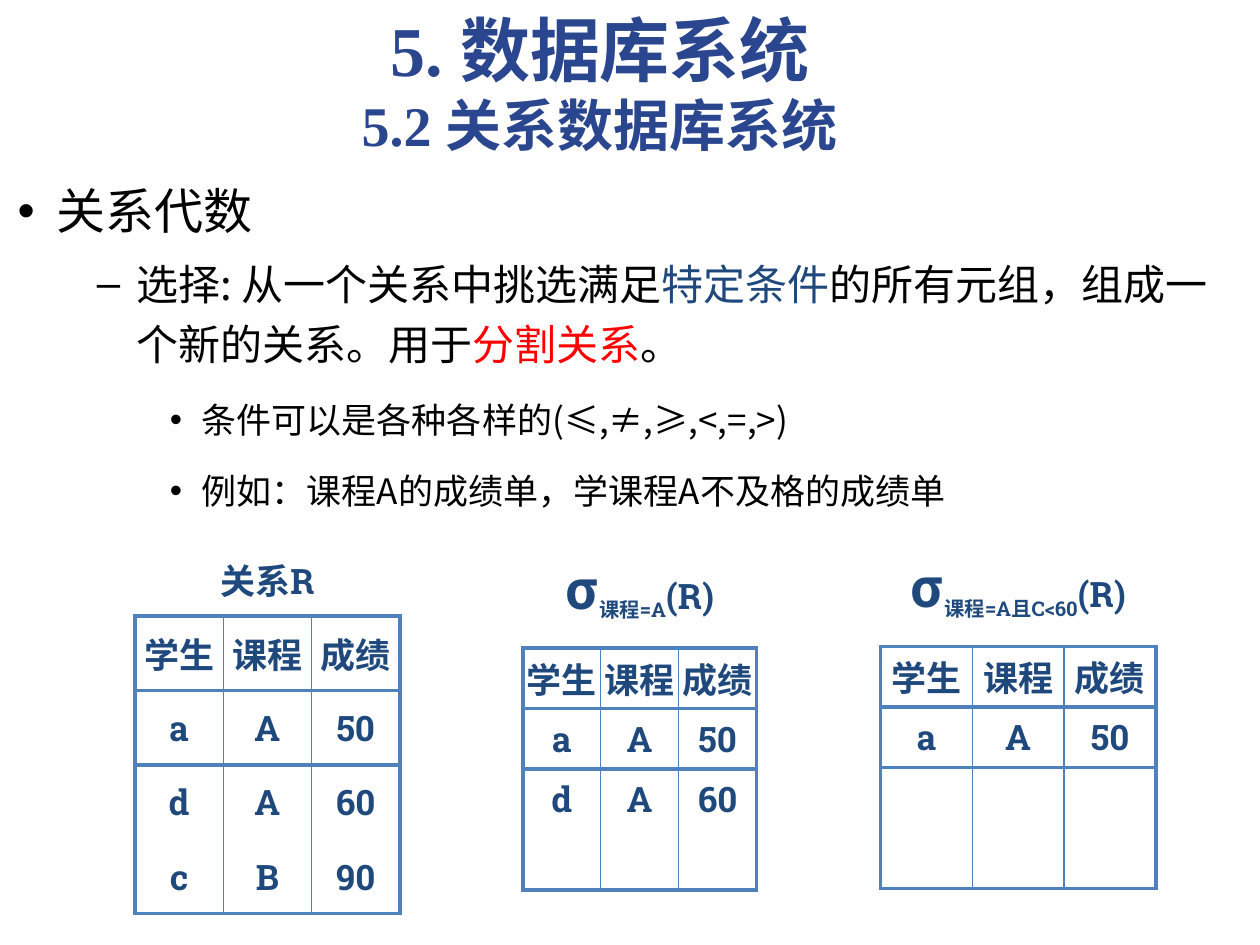
from lxml import etree
from pptx import Presentation
from pptx.dml.color import RGBColor
from pptx.enum.text import MSO_ANCHOR, MSO_AUTO_SIZE, PP_ALIGN
from pptx.oxml.ns import qn
from pptx.util import Cm, Pt

MIDDLE = MSO_ANCHOR.MIDDLE
CENTER = PP_ALIGN.CENTER
NO_FIT = MSO_AUTO_SIZE.NONE
GROW = MSO_AUTO_SIZE.SHAPE_TO_FIT_TEXT
PLAIN_STYLE = "{2D5ABB26-0587-4C30-8999-92F81FD0307C}"
CJK = "Noto Sans CJK SC"
COLORS = {"title": "2A468E", "text": "000000", "navy": "1F497D",
          "red": "FF0000", "border": "4F81BD"}


def add_span(para, text, size, color, font=CJK, bold=False):
    span = para.add_run()
    span.text = text
    values = {"size": Pt(size), "name": font, "bold": bold}
    for name, value in values.items():
        setattr(span.font, name, value)
    span.font.color.rgb = RGBColor.from_string(COLORS[color])
    etree.SubElement(span.font._element, qn("a:ea"), typeface=CJK)
    return span


def add_border(cell, edge, width):
    line = etree.SubElement(cell._tc.get_or_add_tcPr(), qn(f"a:ln{edge}"),
                            w=str(Pt(width)))
    fill = etree.SubElement(line, qn("a:solidFill"))
    etree.SubElement(fill, qn("a:srgbClr"), val=COLORS["border"])


deck = Presentation()
deck.slide_width, deck.slide_height = Cm(25.4), Cm(19.05)
page = deck.slides.add_slide(deck.slide_layouts[1])
title, body = page.placeholders

frames = [
    (title, {"left": Cm(1.3), "top": Cm(0), "width": Cm(21.59), "height": Cm(3.33)}),
    (body, {"left": Cm(0.1), "top": Cm(3.28), "width": Cm(24.82), "height": Cm(7.65)}),
]
for box, values in frames:
    for name, value in values.items():
        setattr(box, name, value)

title.text_frame.auto_size = GROW
title.text_frame.vertical_anchor = MIDDLE
para = title.text_frame.paragraphs[0]
para.alignment = CENTER
add_span(para, "5. 数据库系统", 40, "title", "Times New Roman", True)
para.add_line_break()
add_span(para, "5.2 关系数据库系统", 32, "title", "Times New Roman", True)

levels = [
    {"size": 28, "before": 6, "margin": 0.79, "hang": 0.79, "bullet": "•"},
    {"size": 24, "before": None, "margin": 2.39, "hang": 0.79, "bullet": "–"},
    {"size": 20, "before": 12, "margin": 3.71, "hang": 0.64, "bullet": "•"},
]
points = [
    (0, [("关系代数", "text")]),
    (1, [("选择: 从一个关系中挑选满足", "text"), ("特定条件", "navy"),
         ("的所有元组，组成一个新的关系。用于", "text"),
         ("分割关系", "red"), ("。", "text")]),
    (2, [("条件可以是各种各样的(≤,≠,≥,<,=,>)", "text")]),
    (2, [("例如：课程A的成绩单，学课程A不及格的成绩单", "text")]),
]
body.text_frame.auto_size = NO_FIT
for number, (level, parts) in enumerate(points):
    para = body.text_frame.paragraphs[0] if number == 0 else body.text_frame.add_paragraph()
    style = levels[level]
    para.level = level
    para.line_spacing = 1.2
    if style["before"]:
        para.space_before = Pt(style["before"])
    props = para._p.get_or_add_pPr()
    props.set("marL", str(Cm(style["margin"])))
    props.set("indent", str(-Cm(style["hang"])))
    etree.SubElement(props, qn("a:buChar"), char=style["bullet"])
    for text, color in parts:
        add_span(para, text, style["size"], color)

header = ["学生", "课程", "成绩"]
relations = [
    {"at": (2.72, 10.92), "column": 1.78, "rows": (1.5, 1.5),
     "caption": [("关系R", 20, 0)],
     "records": [["a", "A", "50"], ["d", "A", "60"], ["c", "B", "90"]]},
    {"at": (10.54, 10.62), "column": 1.57, "rows": (2.44, 1.22),
     "caption": [("σ", 32, 0), ("课程=A", 20, -25), ("(R)", 20, 0)],
     "records": [["a", "A", "50"], ["d", "A", "60"]]},
    {"at": (17.75, 10.59), "column": 1.85, "rows": (2.44, 1.22),
     "caption": [("σ", 32, 0), ("课程=A且C<60", 20, -25), ("(R)", 20, 0)],
     "records": [["a", "A", "50"]]},
]
margins = {"margin_left": Cm(0.05), "margin_right": Cm(0.05),
           "margin_top": Cm(0.03), "margin_bottom": Cm(0.03),
           "vertical_anchor": MIDDLE}
for relation in relations:
    left, top = relation["at"]
    first, other = relation["rows"]
    frame = page.shapes.add_table(5, 3, Cm(left), Cm(top),
                                  Cm(3 * relation["column"]), Cm(first + 4 * other))
    table = frame.table
    table.first_row = table.horz_banding = False
    table._tbl.tblPr.find(qn("a:tableStyleId")).text = PLAIN_STYLE
    table.cell(0, 0).merge(table.cell(0, 2))
    for column in table.columns:
        column.width = Cm(relation["column"])
    for index, row in enumerate(table.rows):
        row.height = Cm(other if index else first)

    lines = [header] + relation["records"]
    for index, row in enumerate(table.rows):
        for column, cell in enumerate(row.cells):
            for name, value in margins.items():
                setattr(cell, name, value)
            if index:
                add_border(cell, "L", 0.75 if column else 2.25)
                add_border(cell, "R", 2.25 if column == 2 else 0.75)
            if index in (1, 2):
                add_border(cell, "T", 2.25)
            if index in (0, 1, 4):
                add_border(cell, "B", 2.25)
            cell.fill.background()
            if index == 0:
                parts = [] if column else relation["caption"]
            else:
                parts = [(lines[index - 1][column], 20, 0)] if index <= len(lines) else []
            para = cell.text_frame.paragraphs[0]
            para.alignment = CENTER
            before = etree.SubElement(para._p.get_or_add_pPr(), qn("a:spcBef"))
            etree.SubElement(before, qn("a:spcPct"), val="20000")
            for text, size, shift in parts:
                span = add_span(para, text, size, "navy", "Roboto Slab", True)
                if shift:
                    span.font._element.set("baseline", str(shift * 1000))

deck.save("out.pptx")
